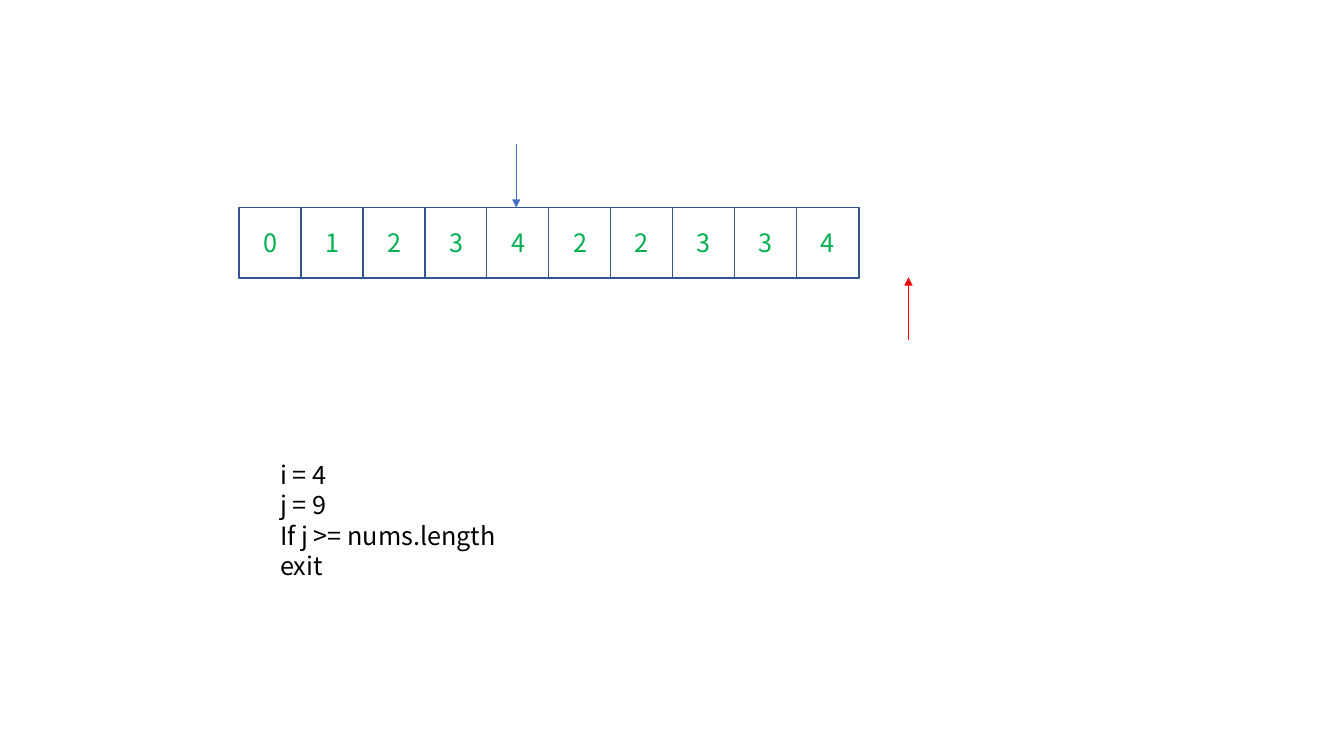
from lxml.etree import SubElement
from pptx import Presentation
from pptx.dml.color import RGBColor
from pptx.enum.shapes import MSO_CONNECTOR, MSO_SHAPE
from pptx.enum.text import MSO_ANCHOR, PP_ALIGN
from pptx.oxml.ns import qn
from pptx.util import Inches, Pt

FONT = "Noto Sans CJK SC"
WHITE = RGBColor(0xFF, 0xFF, 0xFF)
BLACK = RGBColor(0x00, 0x00, 0x00)
GREEN = RGBColor(0x00, 0xB0, 0x50)
NAVY = RGBColor(0x32, 0x54, 0x91)
BLUE = RGBColor(0x44, 0x72, 0xC4)
RED = RGBColor(0xFF, 0x00, 0x00)


def add_run(p, text, color):
    r = p.add_run()
    r.text = text
    r.font.size = Pt(18)
    r.font.name = FONT
    r.font.color.rgb = color


def add_array(s, nums, left, top, width, height):
    cell_width = 0.62
    pitch = (width - cell_width) / (len(nums) - 1)
    for i, num in enumerate(nums):
        sp = s.shapes.add_shape(
            MSO_SHAPE.RECTANGLE, Inches(left + i * pitch), Inches(top),
            Inches(cell_width), Inches(height))
        sp.shadow.inherit = False
        sp.fill.solid()
        sp.fill.fore_color.rgb = WHITE
        sp.line.color.rgb = NAVY
        sp.line.width = Pt(1)
        tf = sp.text_frame
        tf.vertical_anchor = MSO_ANCHOR.MIDDLE
        p = tf.paragraphs[0]
        p.alignment = PP_ALIGN.CENTER
        add_run(p, str(num), GREEN)


def add_pointer(s, x, start, end, color):
    cxn = s.shapes.add_connector(
        MSO_CONNECTOR.STRAIGHT, Inches(x), Inches(start), Inches(x), Inches(end))
    cxn.line.color.rgb = color
    cxn.line.width = Pt(0.5)
    SubElement(cxn.line._get_or_add_ln(), qn("a:tailEnd"), type="triangle")
    SubElement(cxn._element.spPr, qn("a:effectLst"))


def add_state(s, lines, left, top, width, height):
    box = s.shapes.add_textbox(
        Inches(left), Inches(top), Inches(width), Inches(height))
    tf = box.text_frame
    tf.word_wrap = True
    for i, line in enumerate(lines):
        p = tf.add_paragraph() if i else tf.paragraphs[0]
        p.line_spacing = Pt(21.6)
        add_run(p, line, BLACK)


prs = Presentation()
prs.slide_width = Inches(13.33)
prs.slide_height = Inches(7.5)
s = prs.slides.add_slide(prs.slide_layouts[6])
add_array(s, [0, 1, 2, 3, 4, 2, 2, 3, 3, 4], 2.37, 2.06, 6.15, 0.7)
add_pointer(s, 5.12, 1.43, 2.06, BLUE)
add_pointer(s, 9.01, 3.37, 2.75, RED)
add_state(s, ["i = 4", "j = 9", "If j >= nums.length", "exit"],
          2.68, 4.51, 3.78, 1.31)
prs.save("out.pptx")
